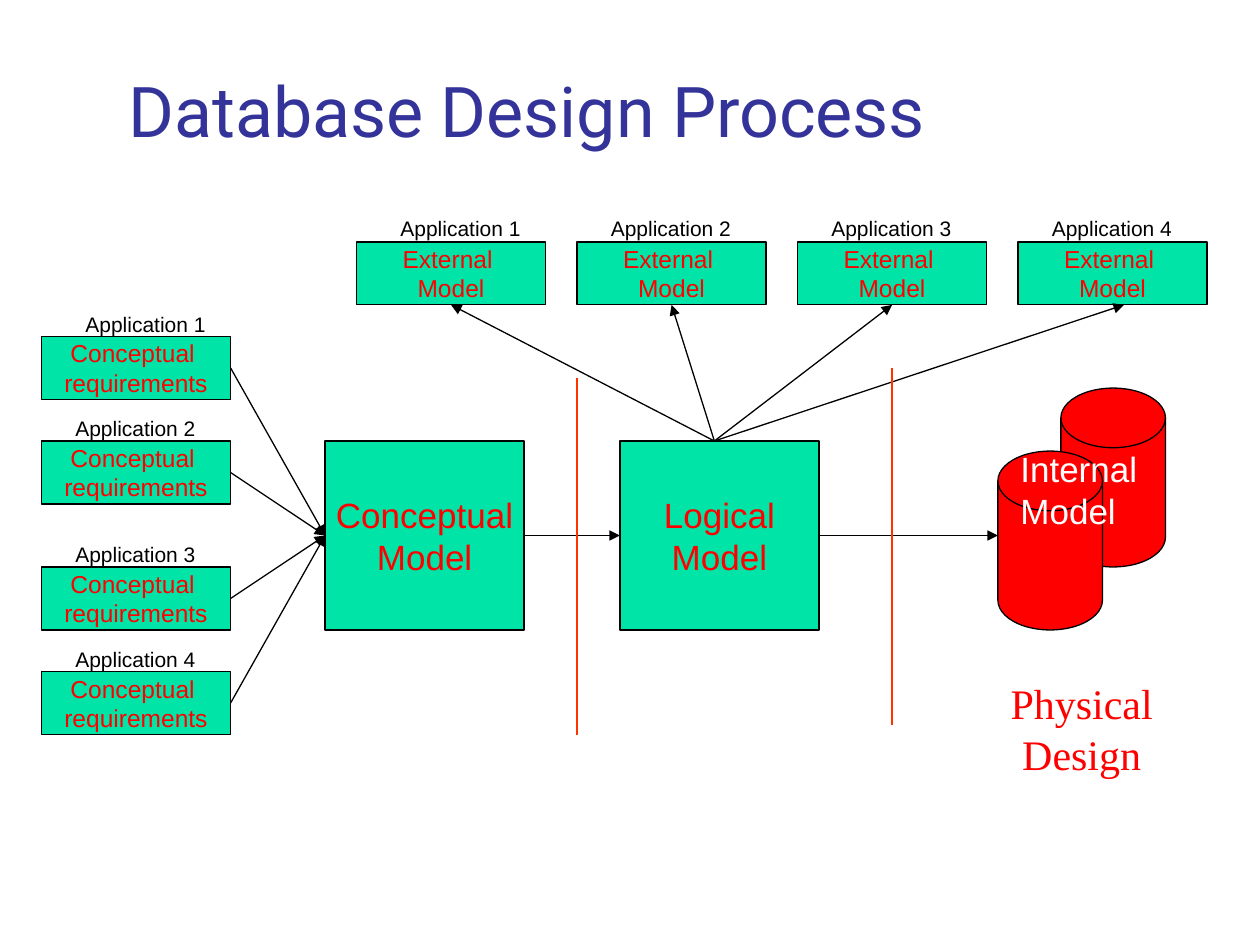
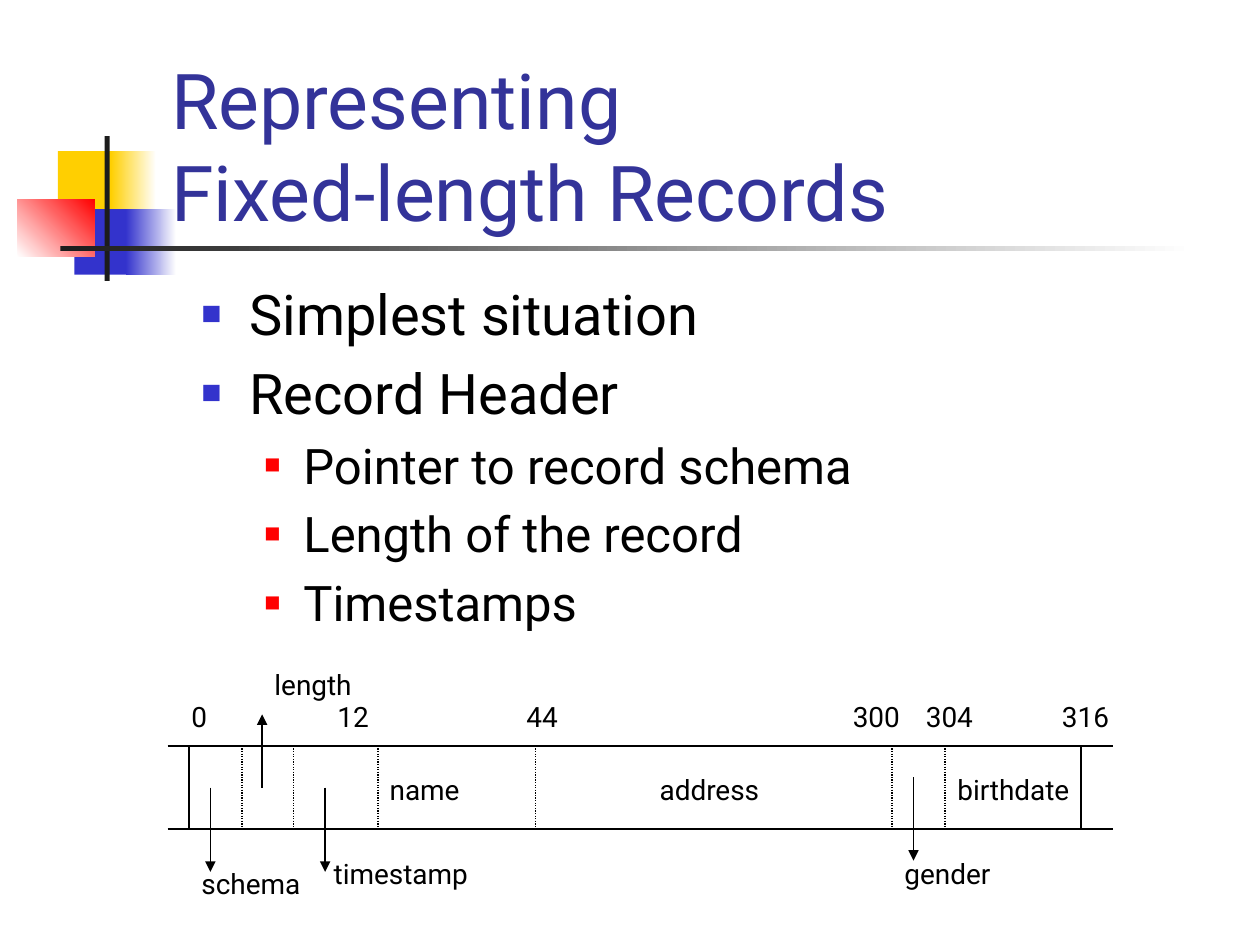
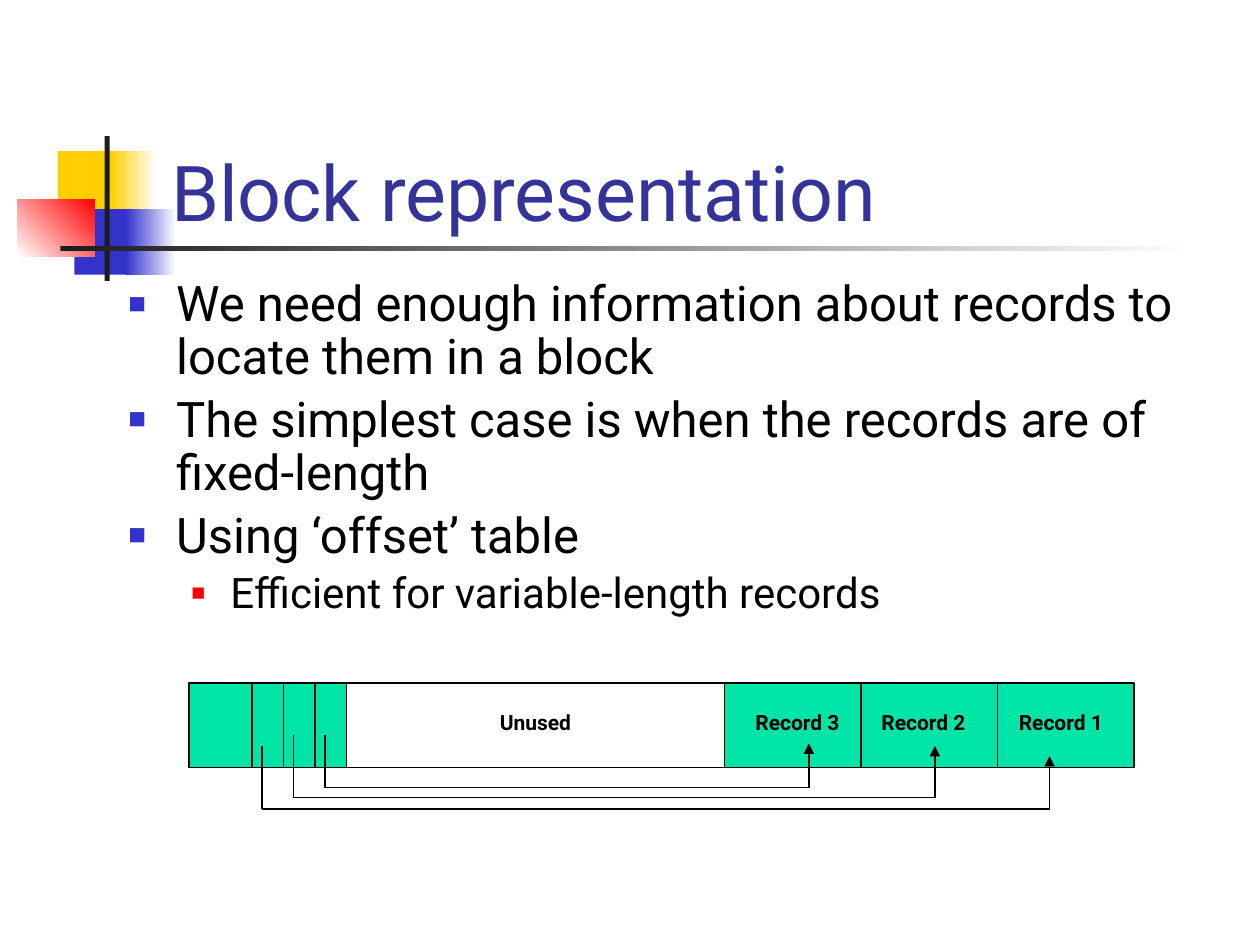
from lxml import etree
from pptx import Presentation
from pptx.dml.color import RGBColor
from pptx.enum.dml import MSO_LINE
from pptx.enum.shapes import MSO_CONNECTOR, MSO_SHAPE
from pptx.enum.text import MSO_ANCHOR, PP_ALIGN
from pptx.oxml.ns import qn
from pptx.util import Inches, Pt

# Shared style
rgb = RGBColor.from_string
BLACK, WHITE, RED = "000000", "FFFFFF", "FF0000"
GREEN, BLUE, YELLOW, DARK = "00E4A8", "3333CC", "FFCF01", "1C1C1C"
TITLE = "333399"


def box(s, x, y, w, h, text="", size=16, font="Roboto", color=BLACK, fill=None,
        shape=None, align=PP_ALIGN.LEFT, anchor=MSO_ANCHOR.TOP, wrap=True, bold=False):
    """Add a text box, or a filled and outlined shape when shape is given."""
    at = Inches(x), Inches(y), Inches(w), Inches(h)
    if shape is None:
        sp = s.shapes.add_textbox(*at)
    else:
        sp = s.shapes.add_shape(shape, *at)
        sp.shadow.inherit = False
        sp.fill.solid()
        sp.fill.fore_color.rgb = rgb(fill)
        sp.line.color.rgb = rgb(BLACK)
        sp.line.width = Pt(0.75)
    tf = sp.text_frame
    tf.word_wrap = wrap
    tf.vertical_anchor = anchor
    tf.text = text
    for p in tf.paragraphs:
        p.alignment = align
        for r in p.runs:
            r.font.size = Pt(size)
            r.font.name = font
            r.font.bold = bold
            r.font.color.rgb = rgb(color)
    return sp


def line(s, x1, y1, x2, y2, color=BLACK, arrow=False, dotted=False):
    """Add a straight connector, with an arrowhead at its end if wanted."""
    c = s.shapes.add_connector(MSO_CONNECTOR.STRAIGHT, Inches(x1), Inches(y1),
                               Inches(x2), Inches(y2))
    c.line.color.rgb = rgb(color)
    c.line.width = Pt(0.75)
    if dotted:
        c.line.dash_style = MSO_LINE.ROUND_DOT
    if arrow:
        etree.SubElement(c.line._get_or_add_ln(), qn("a:tailEnd"), type="triangle")
    etree.SubElement(c._element.spPr, qn("a:effectLst"))
    return c


prs = Presentation()
prs.slide_width = Inches(10)
prs.slide_height = Inches(7.5)
process, records, blocks = [prs.slides.add_slide(prs.slide_layouts[6]) for _ in range(3)]

# Corner ornament and title rule: x, y, w, h, start colour, end colour, angle
ORNAMENT = [
    (0.46, 1.2, 0.48, 0.52, YELLOW, None, 0),
    (0.88, 1.2, 0.36, 0.52, YELLOW, WHITE, 0),
    (0.59, 1.66, 0.46, 0.52, BLUE, None, 0),
    (1, 1.66, 0.4, 0.52, BLUE, WHITE, 0),
    (0.14, 1.58, 0.61, 0.46, WHITE, RED, 45),
    (0.83, 1.08, 0.04, 1.15, DARK, None, 0),
    (0.48, 1.95, 9, 0.04, DARK, WHITE, 0),
]
for s in (records, blocks):
    for x, y, w, h, start, end, angle in ORNAMENT:
        sp = box(s, x, y, w, h, fill=start, shape=MSO_SHAPE.RECTANGLE)
        sp.line.fill.background()
        if end:
            sp.fill.gradient()
            sp.fill.gradient_angle = angle
            for stop, color in zip(sp.fill.gradient_stops, (start, end)):
                stop.color.rgb = rgb(color)

# Titles
for s, x, y, h, size, text in [
    (process, 0.92, 0.67, 0.58, 40, "Database Design Process"),
    (records, 1.26, 0.68, 1.25, 44, "Representing\nFixed-length Records"),
    (blocks, 1.26, 0.68, 1.25, 44, "Block representation"),
]:
    box(s, x, y, 8.52, h, text, size, color=TITLE, anchor=MSO_ANCHOR.BOTTOM)

# Bulleted text: level and wording of each paragraph
for s, x, w, h, sizes, spacing, items in [
    (records, 1.5, 6.5, 3, (32, 28), 1.0, [
        (0, "Simplest situation"),
        (0, "Record Header"),
        (1, "Pointer to record schema"),
        (1, "Length of the record"),
        (1, "Timestamps")]),
    (blocks, 0.92, 8.5, 2.96, (28, 24), 0.9, [
        (0, "We need enough information about records to locate them in a block"),
        (0, "The simplest case is when the records are of fixed-length"),
        (0, "Using ‘offset’ table"),
        (1, "Efficient for variable-length records")]),
]:
    tf = box(s, x, 2.17, w, h, "\n".join(text for _, text in items)).text_frame
    for p, (level, _) in zip(tf.paragraphs, items):
        p.level = level
        p.line_spacing = spacing
        p.space_before = Pt(sizes[level] * 0.2)
        p.runs[0].font.size = Pt(sizes[level])
        left, hang = ((0.38, 0.38), (0.81, 0.31))[level]
        pPr = p._p.get_or_add_pPr()
        pPr.set("marL", str(Inches(left)))
        pPr.set("indent", str(-Inches(hang)))
        bullet_color = etree.SubElement(pPr, qn("a:buClr"))
        etree.SubElement(bullet_color, qn("a:srgbClr"), val=(BLUE, RED)[level])
        etree.SubElement(pPr, qn("a:buSzPct"), val=("60000", "55000")[level])
        etree.SubElement(pPr, qn("a:buFont"), typeface="Arial")
        etree.SubElement(pPr, qn("a:buChar"), char="■")

# Slide 1: models and requirements
s = process
model = dict(font="Arial", color=RED, fill=GREEN, shape=MSO_SHAPE.RECTANGLE,
             align=PP_ALIGN.CENTER, anchor=MSO_ANCHOR.MIDDLE, wrap=False)
label = dict(size=12, font="Arial")
conceptual = box(s, 2.58, 3.5, 1.58, 1.5, "Conceptual\nModel", 20, **model)
logical = box(s, 4.92, 3.5, 1.58, 1.5, "Logical\nModel", 20, **model)

# Requirements of each application lead to the conceptual model
for i, (y, label_x) in enumerate([(2.67, 0.58), (3.5, 0.5), (4.5, 0.5), (5.33, 0.5)], 1):
    requirement = box(s, 0.33, y, 1.5, 0.5, "Conceptual \nrequirements", 14, **model)
    box(s, label_x, y - 0.25, 1.3, 0.3, f"Application {i}", **label)
    c = line(s, 1.83, y + 0.25, 2.58, 4.25, arrow=True)
    c.begin_connect(requirement, 3)
    c.end_connect(conceptual, 1)

# The logical model leads to the external model of each application
for i, (label_x, tip_x) in enumerate([(3.08, 3.58), (4.75, 5.33), (6.5, 7.08), (8.25, 8.92)]):
    external = box(s, 2.83 + 1.75 * i, 1.92, 1.5, 0.5, "External \nModel", 14, **model)
    box(s, label_x, 1.66, 1.3, 0.3, f"Application {i + 1}", **label)
    c = line(s, 5.67, 3.5, tip_x, 2.42, arrow=True)
    if i < 3:  # the last arrow ends right of the middle
        c.end_connect(external, 2)

# Internal model and physical design
for x, y in [(8.42, 3.08), (7.92, 3.58)]:
    box(s, x, y, 0.83, 1.42, fill=RED, shape=MSO_SHAPE.FLOWCHART_MAGNETIC_DISK)
box(s, 8, 3.5, 1.67, 0.77, "Internal Model", 20, "Arial", WHITE)
box(s, 7.92, 5.33, 1.33, 0.9, "Physical\nDesign", 24, "Times New Roman", RED,
    align=PP_ALIGN.CENTER, wrap=False)
c = line(s, 4.17, 4.25, 4.92, 4.25, arrow=True)
c.begin_connect(conceptual, 3)
c.end_connect(logical, 1)
c = line(s, 6.5, 4.25, 7.92, 4.25, arrow=True)
c.begin_connect(logical, 3)

# Phase dividers
for x, y in [(4.58, 3), (7.08, 2.92)]:
    line(s, x, y, x, y + 2.83, "FF3300")

# Slide 2: record layout
s = records
top, bottom = 5.92, 6.58
for y in (top, bottom):
    line(s, 1.33, y, 8.83, y)
for x in (1.5, 8.58):
    line(s, x, top, x, bottom)
for x in (1.92, 2.33, 3, 4.25, 7.08, 7.5):
    line(s, x, top, x, bottom, dotted=True)

# Arrows from the narrow fields to their names
for x, y1, y2 in [(1.67, 6.25, 6.92), (2.08, 6.25, 5.67), (2.58, 6.25, 6.92),
                  (7.25, 6.17, 6.83)]:
    line(s, x, y1, x, y2, arrow=True)
for x, y, w, name in [(1.5, 6.83, 1.92, "schema"), (2.08, 5.25, 1.92, "length"),
                      (2.55, 6.75, 1.92, "timestamp"), (7.5, 6.08, 1.25, "birthdate"),
                      (7.08, 6.75, 0.92, "gender")]:
    box(s, x, y, w, 0.37, name)
for x, w, name in [(2.83, 1.08, "name"), (4.67, 1.92, "address")]:
    box(s, x, 6.08, w, 0.37, name, align=PP_ALIGN.CENTER)

# Byte offsets
for x, offset in [(1.42, "0"), (2.58, "12"), (4.08, "44"), (6.67, "300"),
                  (7.25, "304"), (8.33, "316")]:
    box(s, x, 5.5, 0.58, 0.37, offset)

# Slide 3: block with offset table, free space and records
s = blocks
x = 1.5
for w, fill in [(0.5, GREEN)] + [(0.25, GREEN)] * 3 + [(3, WHITE)] + [(3.25 / 3, GREEN)] * 3:
    box(s, x, 5.42, w, 0.67, fill=fill, shape=MSO_SHAPE.RECTANGLE)
    x += w
for x, name in [(3.75, "Unused"), (5.83, "Record 3"), (6.83, "Record 2"), (7.92, "Record 1")]:
    box(s, x, 5.58, 1, 0.3, name, 12, align=PP_ALIGN.CENTER, bold=True)

# Pointers from the offset table to the records
for x1, y1, low, x2, y2 in [(2.08, 5.92, 6.42, 8.33, 6), (2.33, 5.83, 6.33, 7.42, 5.92),
                            (2.58, 5.83, 6.25, 6.42, 5.9)]:
    line(s, x1, y1, x1, low)
    line(s, x1, low, x2, low)
    line(s, x2, low, x2, y2, arrow=True)

prs.save("out.pptx")
